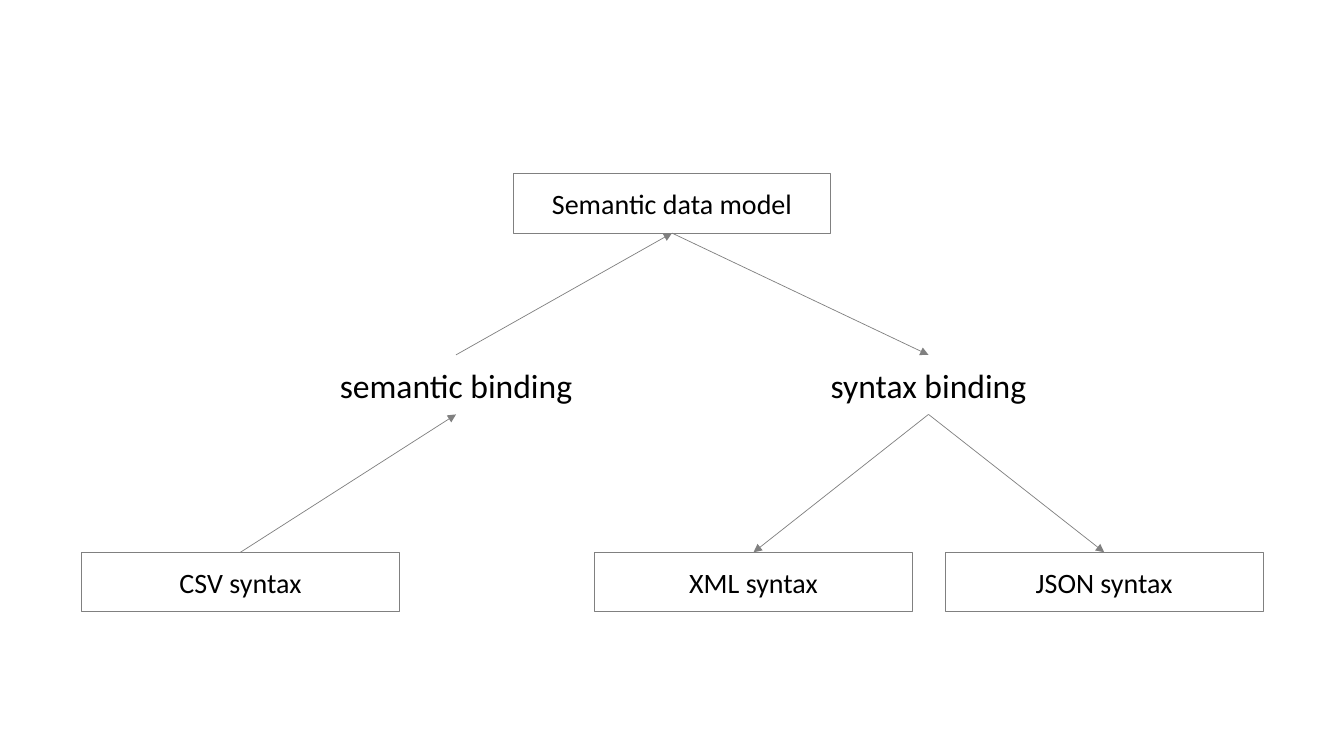
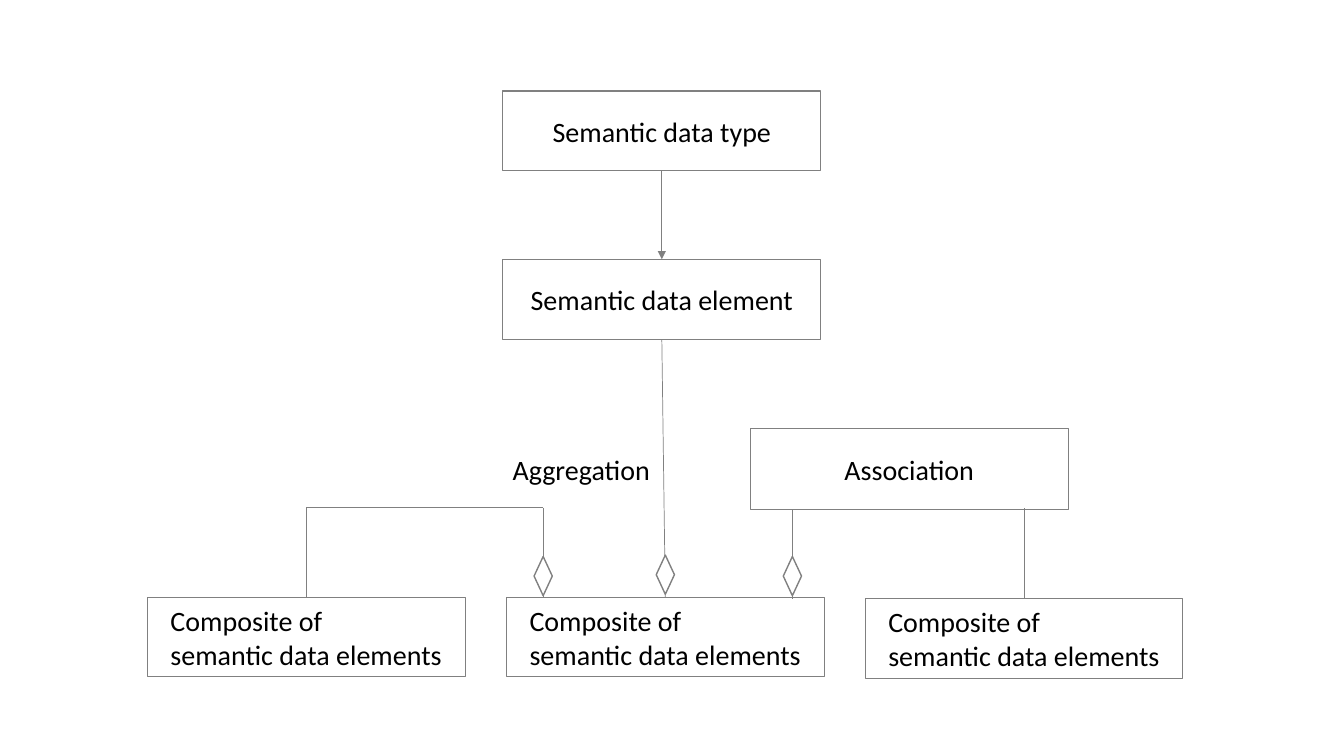
"""Build two diagrams of semantic data models with boxes, labels and links."""
from dataclasses import dataclass

from lxml import etree
from pptx import Presentation
from pptx.dml.color import RGBColor
from pptx.enum.shapes import MSO_CONNECTOR, MSO_SHAPE
from pptx.enum.text import MSO_ANCHOR, PP_ALIGN
from pptx.oxml.ns import qn
from pptx.shapes.autoshape import Shape
from pptx.shapes.connector import Connector
from pptx.slide import Slide
from pptx.util import Pt

STRAIGHT = MSO_CONNECTOR.STRAIGHT
RECTANGLE = MSO_SHAPE.RECTANGLE
DECISION = MSO_SHAPE.FLOWCHART_DECISION
MIDDLE = MSO_ANCHOR.MIDDLE
LEFT = PP_ALIGN.LEFT
CENTER = PP_ALIGN.CENTER

GREY = RGBColor(0x80, 0x80, 0x80)
BLACK = RGBColor(0x00, 0x00, 0x00)
WHITE = RGBColor(0xFF, 0xFF, 0xFF)
FONT = "Calibri"

BOX_WIDTH = 227
BINDING_HEIGHT = 42.5
ELEMENT_HEIGHT = 57
RELATION_HEIGHT = 58
DIAMOND_WIDTH, DIAMOND_HEIGHT = 13, 28
TOP_SITE, BOTTOM_SITE = 0, 2

SYNTAX_TOP = 394.5
BINDING_TOP = 253.5
COMPOSITE_TOP = 426.5
BRACKET_TOP = 362.75
COMPOSITE_TEXT = "Composite of\nsemantic data elements"


@dataclass(frozen=True)
class Node:
    """A box, or a bare label when it is not outlined."""

    text: str
    left: float
    top: float
    height: float
    size: float = 20
    outlined: bool = True
    alignment: PP_ALIGN = CENTER
    inset: float = 0


@dataclass(frozen=True)
class Link:
    """A line from the bottom or top of one node to that of another."""

    start: str
    start_site: int
    end: str
    end_site: int
    arrow: bool = True


@dataclass(frozen=True)
class Segment:
    """A free line between two points."""

    start_x: float
    start_y: float
    end_x: float
    end_y: float


@dataclass(frozen=True)
class Diamond:
    """An aggregation mark, placed by its centre line."""

    center: float
    top: float


BINDING_NODES = {
    "model": Node("Semantic data model", 366.5, 124, BINDING_HEIGHT),
    "json": Node("JSON syntax", 675.25, SYNTAX_TOP, BINDING_HEIGHT),
    "xml": Node("XML syntax", 424.75, SYNTAX_TOP, BINDING_HEIGHT),
    "csv": Node("CSV syntax", 58.25, SYNTAX_TOP, BINDING_HEIGHT),
    "semantic": Node("semantic binding", 212.25, BINDING_TOP, BINDING_HEIGHT, 24, False),
    "syntax": Node("syntax binding", 549.75, BINDING_TOP, BINDING_HEIGHT, 24, False),
}
BINDING_LINKS = [
    Link("csv", TOP_SITE, "semantic", BOTTOM_SITE),
    Link("syntax", BOTTOM_SITE, "xml", TOP_SITE),
    Link("syntax", BOTTOM_SITE, "json", TOP_SITE),
    Link("semantic", TOP_SITE, "model", BOTTOM_SITE),
    Link("model", BOTTOM_SITE, "syntax", TOP_SITE),
]


def composite(left: float, top: float) -> Node:
    """Describe a box for a composite of elements."""
    return Node(COMPOSITE_TEXT, left, top, ELEMENT_HEIGHT, alignment=LEFT, inset=16.5)


ELEMENT_NODES = {
    "type": Node("Semantic data type", 359.25, 65, ELEMENT_HEIGHT),
    "element": Node("Semantic data element", 359.25, 185.25, ELEMENT_HEIGHT),
    "aggregation": Node("Aggregation", 301.75, 306.5, RELATION_HEIGHT, outlined=False),
    "association": Node("Association", 536, 306, RELATION_HEIGHT),
    "middle composite": composite(361.75, COMPOSITE_TOP),
    "left composite": composite(105.25, COMPOSITE_TOP),
    "right composite": composite(618, COMPOSITE_TOP + 1),
}
ELEMENT_LINKS = [
    Link("type", BOTTOM_SITE, "element", TOP_SITE),
    Link("element", BOTTOM_SITE, "middle composite", TOP_SITE, arrow=False),
]
ELEMENT_SEGMENTS = [
    Segment(566, 364, 566, 428),
    Segment(731.5, 363, 731.5, 427.5),
    Segment(218.75, BRACKET_TOP, 218.75, COMPOSITE_TOP),
    Segment(388, BRACKET_TOP, 388, COMPOSITE_TOP),
    Segment(388, BRACKET_TOP, 218.75, BRACKET_TOP),
]
ELEMENT_DIAMONDS = [Diamond(475.25, 396.5), Diamond(566, 397.5), Diamond(388, 397.5)]


def draw_node(slide: Slide, node: Node) -> Shape:
    """Draw a box or label with its text."""
    frame = (Pt(node.left), Pt(node.top), Pt(BOX_WIDTH), Pt(node.height))
    if node.outlined:
        shape = slide.shapes.add_shape(RECTANGLE, *frame)
        shape.shadow.inherit = False
        shape.fill.background()
        shape.line.color.rgb = GREY
        shape.line.width = Pt(0.75)
    else:
        shape = slide.shapes.add_textbox(*frame)
    text_frame = shape.text_frame
    text_frame.word_wrap = True
    text_frame.vertical_anchor = MIDDLE
    text_frame.margin_left = Pt(node.inset)
    text_frame.margin_right = Pt(0)
    text_frame.text = node.text
    for paragraph in text_frame.paragraphs:
        paragraph.alignment = node.alignment
        paragraph.font.name = FONT
        paragraph.font.size = Pt(node.size)
        paragraph.font.color.rgb = BLACK
    return shape


def draw_segment(slide: Slide, segment: Segment) -> Connector:
    """Draw a thin grey line without a shadow."""
    connector = slide.shapes.add_connector(
        STRAIGHT,
        Pt(segment.start_x),
        Pt(segment.start_y),
        Pt(segment.end_x),
        Pt(segment.end_y),
    )
    connector.line.color.rgb = GREY
    connector.line.width = Pt(0.5)
    etree.SubElement(connector._element.spPr, qn("a:effectLst"))
    return connector


def draw_link(slide: Slide, link: Link, shapes: dict[str, Shape]) -> None:
    """Connect two drawn nodes, with an arrowhead if asked."""
    connector = draw_segment(slide, Segment(0, 0, 0, 0))
    connector.begin_connect(shapes[link.start], link.start_site)
    connector.end_connect(shapes[link.end], link.end_site)
    if link.arrow:
        line = connector.line._get_or_add_ln()
        etree.SubElement(line, qn("a:tailEnd"), type="triangle")


def draw_diamond(slide: Slide, diamond: Diamond) -> None:
    """Draw a white diamond over the end of a line."""
    shape = slide.shapes.add_shape(
        DECISION,
        Pt(diamond.center - DIAMOND_WIDTH / 2),
        Pt(diamond.top),
        Pt(DIAMOND_WIDTH),
        Pt(DIAMOND_HEIGHT),
    )
    shape.shadow.inherit = False
    shape.fill.solid()
    shape.fill.fore_color.rgb = WHITE
    shape.line.color.rgb = GREY
    shape.line.width = Pt(1)


def draw_diagram(slide: Slide, nodes: dict[str, Node], links: list[Link]) -> None:
    """Draw all nodes, then the links between them."""
    shapes = {name: draw_node(slide, node) for name, node in nodes.items()}
    for link in links:
        draw_link(slide, link, shapes)


def main() -> None:
    """Build and save the presentation."""
    presentation = Presentation()
    presentation.slide_width = Pt(960)
    presentation.slide_height = Pt(540)
    blank_layout = presentation.slide_layouts[6]

    binding_slide = presentation.slides.add_slide(blank_layout)
    draw_diagram(binding_slide, BINDING_NODES, BINDING_LINKS)

    element_slide = presentation.slides.add_slide(blank_layout)
    draw_diagram(element_slide, ELEMENT_NODES, ELEMENT_LINKS)
    for segment in ELEMENT_SEGMENTS:
        draw_segment(element_slide, segment)
    for diamond in ELEMENT_DIAMONDS:
        draw_diamond(element_slide, diamond)

    presentation.save("out.pptx")


main()
